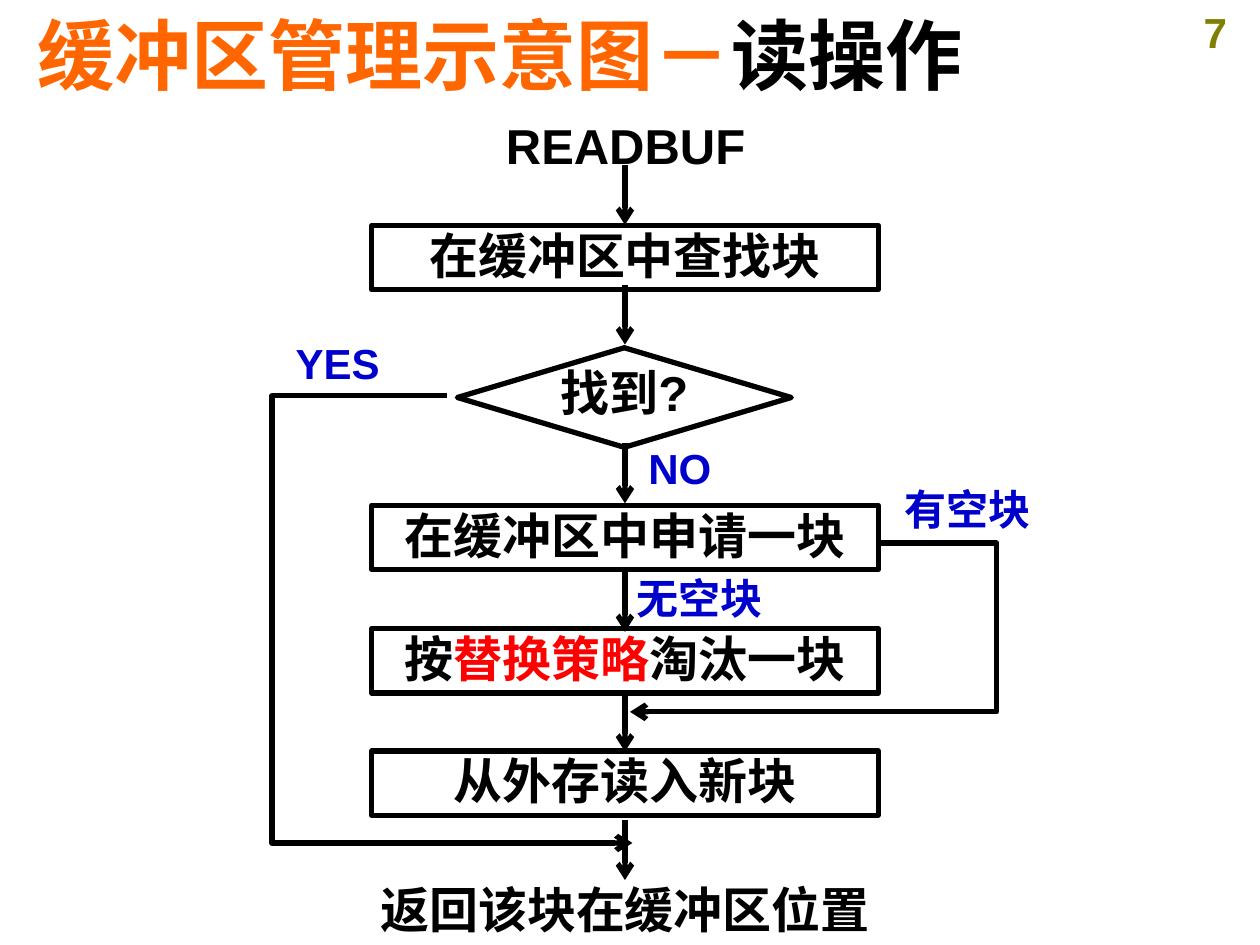
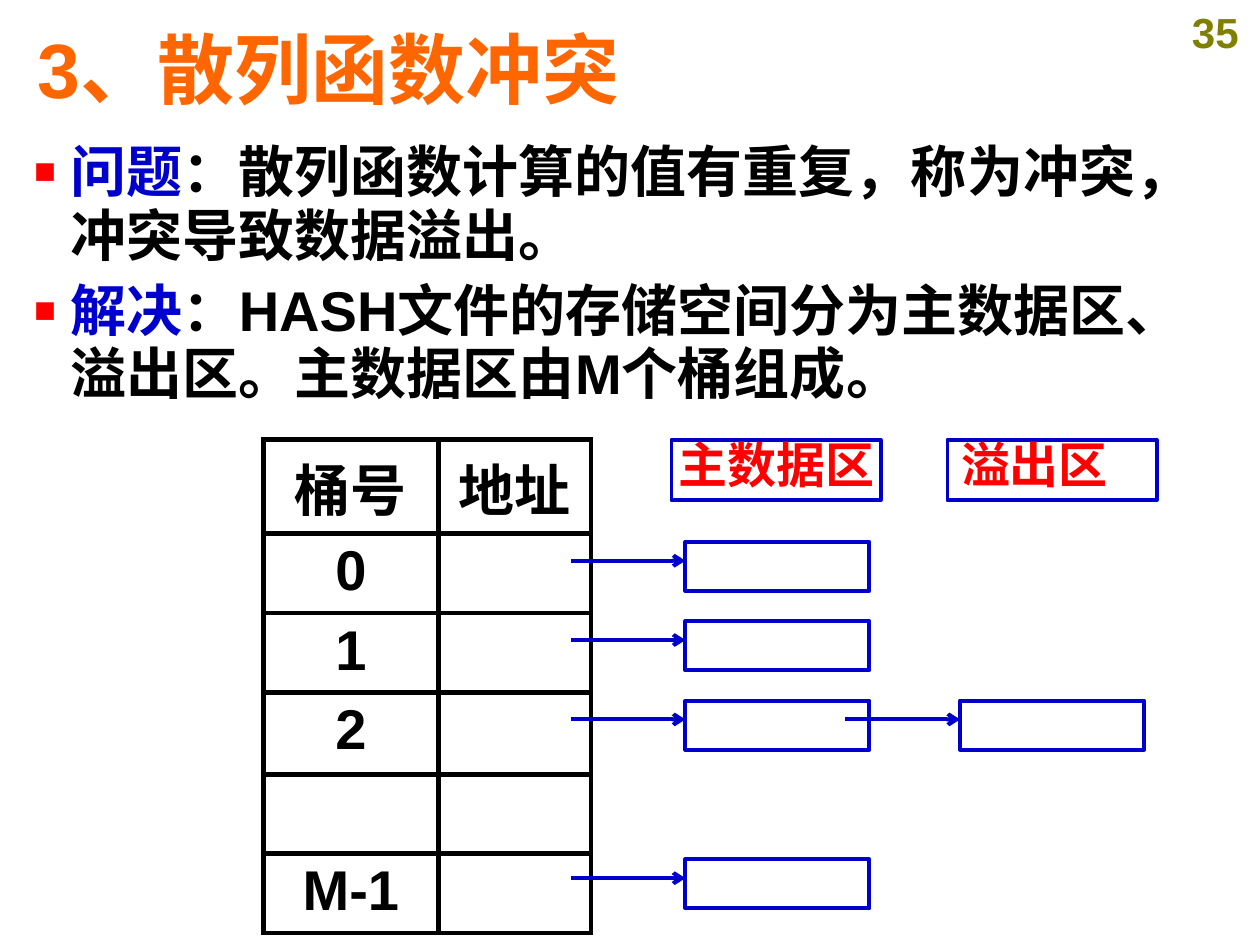
from typing import NamedTuple

from lxml import etree
from pptx import Presentation
from pptx.dml.color import RGBColor
from pptx.enum.shapes import MSO_CONNECTOR, MSO_SHAPE
from pptx.enum.text import MSO_ANCHOR, MSO_AUTO_SIZE, PP_ALIGN
from pptx.oxml.ns import qn
from pptx.util import Inches, Pt

RECT, DIAMOND = MSO_SHAPE.RECTANGLE, MSO_SHAPE.DIAMOND
STRAIGHT = MSO_CONNECTOR.STRAIGHT
LEFT, CENTER = PP_ALIGN.LEFT, PP_ALIGN.CENTER
TOP, MIDDLE = MSO_ANCHOR.TOP, MSO_ANCHOR.MIDDLE

BLACK = RGBColor(0x00, 0x00, 0x00)
WHITE = RGBColor(0xFF, 0xFF, 0xFF)
ORANGE = RGBColor(0xFF, 0x66, 0x00)
BLUE = RGBColor(0x00, 0x00, 0xCC)
RED = RGBColor(0xFF, 0x00, 0x00)
OLIVE = RGBColor(0x80, 0x80, 0x00)

FONT = "Arial"
WIDTH, HEIGHT = Inches(10), Inches(7.5)
COL, ROW = WIDTH / 100, HEIGHT / 75  # a grid of 100 columns and 75 rows
PAD = (0.1, 0.05, 0.1, 0.05)  # inches: left, top, right, bottom
BARE = (0, 0, 0, 0)


class Span(NamedTuple):
    text: str
    color: RGBColor = BLACK


class Area(NamedTuple):
    """A rectangle in grid columns and rows."""
    x: float
    y: float
    w: float
    h: float

    def emu(self) -> tuple:
        return (round(self.x * COL), round(self.y * ROW),
                round(self.w * COL), round(self.h * ROW))


class Step(NamedTuple):
    y: float
    spans: tuple


class Label(NamedTuple):
    text: str
    area: Area


class Zone(NamedTuple):
    text: str
    x: float
    pad: tuple


def spot(x: float, y: float) -> tuple:
    return round(x * COL), round(y * ROW)


def write(frame, *lines, size=28, align=CENTER, anchor=TOP, pad=BARE,
          pitch=None, gap=0, bullet=False) -> None:
    """Fill a text frame; each line is a tuple of spans."""
    frame.word_wrap = True
    frame.auto_size = MSO_AUTO_SIZE.NONE
    frame.vertical_anchor = anchor
    (frame.margin_left, frame.margin_top,
     frame.margin_right, frame.margin_bottom) = map(Inches, pad)
    for i, spans in enumerate(lines):
        para = frame.paragraphs[0] if i == 0 else frame.add_paragraph()
        if bullet:
            mark(para)
        para.alignment = align
        para.space_before = Pt(gap if i else 0)
        if pitch:
            para.line_spacing = pitch
        for span in spans:
            run = para.add_run()
            run.text = span.text
            run.font.name, run.font.size, run.font.bold = FONT, Pt(size), True
            run.font.color.rgb = span.color


def mark(para) -> None:
    """Give a paragraph a small red square bullet and a hanging indent."""
    props = para._p.get_or_add_pPr()
    props.set("marL", str(Inches(0.29)))
    props.set("indent", str(-Inches(0.29)))
    tint = etree.SubElement(props, qn("a:buClr"))
    etree.SubElement(tint, qn("a:srgbClr"), val=str(RED))
    etree.SubElement(props, qn("a:buSzPct"), val="65000")
    etree.SubElement(props, qn("a:buFont"), typeface=FONT)
    etree.SubElement(props, qn("a:buChar"), char="■")


def box(slide, area: Area, kind=RECT, line=BLACK, width=3.0, fill=None):
    """Draw a flat shape; a colour of None means no line or no fill."""
    item = slide.shapes.add_shape(kind, *area.emu())
    item.shadow.inherit = False
    if fill is None:
        item.fill.background()
    else:
        item.fill.solid()
        item.fill.fore_color.rgb = fill
    if line is None:
        item.line.fill.background()
    else:
        item.line.color.rgb = line
        item.line.width = Pt(width)
    return item


def tip(item, color: RGBColor, width: float) -> None:
    """Style a line and put an open arrowhead at its end."""
    item.line.color.rgb = color
    item.line.width = Pt(width)
    props = item._element.spPr
    etree.SubElement(props.find(qn("a:ln")), qn("a:tailEnd"), type="arrow")


def arrow(slide, start: tuple, end: tuple, color=BLACK, width=3.0) -> None:
    item = slide.shapes.add_connector(STRAIGHT, *spot(*start), *spot(*end))
    tip(item, color, width)
    etree.SubElement(item._element.spPr, qn("a:effectLst"))


def bend(slide, *points: tuple) -> None:
    """Draw an arrow that turns at each inner point."""
    pen = slide.shapes.build_freeform(*spot(*points[0]))
    pen.add_line_segments([spot(*p) for p in points[1:]], close=False)
    item = pen.convert_to_shape()
    item.shadow.inherit = False
    item.fill.background()
    tip(item, BLACK, 3)


def note(slide, area: Area, *spans: Span, **style) -> None:
    write(slide.shapes.add_textbox(*area.emu()).text_frame, spans, **style)


def place(item, area: Area):
    item.left, item.top, item.width, item.height = area.emu()
    return item.text_frame


def start(deck, layout: int, number: str, top: float, *title: Span):
    """Add a slide with its title and page number."""
    slide = deck.slides.add_slide(deck.slide_layouts[layout])
    for item in list(slide.placeholders):
        if item.placeholder_format.idx > 9:
            item._element.getparent().remove(item._element)
    write(place(slide.shapes.title, Area(2, top, 94.7, 7.6)), title,
          size=44, align=LEFT, anchor=MIDDLE, pad=PAD)
    note(slide, Area(92.9, 0, 7.1, 5), Span(number, OLIVE), size=24, pad=PAD)
    return slide


def edge(cell) -> None:
    props = cell._tc.get_or_add_tcPr()
    for side in ("lnL", "lnR", "lnT", "lnB"):
        line = etree.SubElement(props, qn(f"a:{side}"), w=str(Pt(3)))
        fill = etree.SubElement(line, qn("a:solidFill"))
        etree.SubElement(fill, qn("a:srgbClr"), val=str(BLACK))
    cell.fill.background()


def flow(deck) -> None:
    slide = start(deck, 5, "7", 0.5,
                  Span("缓冲区管理示意图－", ORANGE), Span("读操作"))
    left, wide, mid = 29.5, 40.2, 49.6
    steps = (
        Step(17.9, (Span("在缓冲区中查找块"),)),
        Step(40.1, (Span("在缓冲区中申请一块"),)),
        Step(49.9, (Span("按"), Span("替换策略", RED), Span("淘汰一块"))),
        Step(59.6, (Span("从外存读入新块"),)),
    )
    for step in steps:
        item = box(slide, Area(left, step.y, wide, 5.1))
        write(item.text_frame, step.spans)
    ends = (Label("返回该块在缓冲区位置", Area(left, 69.8, wide, 4.7)),
            Label("READBUF", Area(39.8, 9.2, 19.7, 4.7)))
    for end in ends:
        item = box(slide, end.area, line=None, fill=WHITE)
        write(item.text_frame, (Span(end.text),))
    test = box(slide, Area(36.3, 27.6, 26.5, 7.9), DIAMOND)
    write(test.text_frame, (Span("找到?"),), anchor=MIDDLE, pitch=0.8)

    for y in (13.1, 22.6, 35.2, 45.4, 54.9, 65.1):
        arrow(slide, (mid, y), (mid, y + 4.75))
    bend(slide, (35.5, 31.4), (21.6, 31.4), (21.6, 66.9), (50.2, 66.9))
    bend(slide, (69.7, 43.1), (79.1, 43.1), (79.1, 56.5), (50, 56.5))

    labels = (
        Label("YES", Area(21.7, 26.8, 10.2, 4)),
        Label("NO", Area(50, 35.1, 7.9, 4)),
        Label("无空块", Area(50, 45.4, 11, 4)),
        Label("有空块", Area(71.3, 38.4, 11, 4)),
    )
    for label in labels:
        note(slide, label.area, Span(label.text, BLUE), size=24)


def buckets(slide) -> None:
    """Draw the bucket table."""
    rows = (("桶号", "地址"), ("0", ""), ("1", ""), ("2", ""), ("", ""),
            ("M-1", ""))
    area = Area(20.9, 34.9, 26, 38.1)
    table = slide.shapes.add_table(len(rows), 2, *area.emu()).table
    table.first_row = table.horz_banding = False
    for col, width in zip(table.columns, (13.9, 12.1)):
        col.width = round(width * COL)
    for i, texts in enumerate(rows):
        table.rows[i].height = round((6.5 if i == 3 else 6.3) * ROW)
        for j, text in enumerate(texts):
            cell = table.cell(i, j)
            edge(cell)
            if text:
                write_cell = cell.text_frame.paragraphs[0]
                write_cell.alignment = CENTER
                run = write_cell.add_run()
                run.text = text
                run.font.name, run.font.size = FONT, Pt(32)
                run.font.bold, run.font.color.rgb = True, BLACK


def clash(deck) -> None:
    slide = start(deck, 1, "35", 1.6, Span("3、散列函数冲突", ORANGE))
    body = next((p for p in slide.placeholders
                 if p.placeholder_format.idx == 1), None)
    write(place(body, Area(1.7, 10.7, 96.4, 57.7)),
          (Span("问题", BLUE),
           Span("：散列函数计算的值有重复，称为冲突，冲突导致数据溢出。")),
          (Span("解决", BLUE),
           Span("：HASH文件的存储空间分为主数据区、溢出区。"
                "主数据区由M个桶组成。")),
          size=32, align=LEFT, pad=PAD, pitch=0.95, gap=6.4, bullet=True)
    buckets(slide)

    zones = (Zone("主数据区", 53.3, (0, 0.05, 0, 0.05)),
             Zone("溢出区", 75.2, (0, 0.05, 0.28, 0.05)))
    for zone in zones:
        item = box(slide, Area(zone.x, 34.9, 16.6, 4.8), line=BLUE, width=2.25)
        write(item.text_frame, (Span(zone.text, RED),), pad=zone.pad, pitch=0.8)

    main, over = 54.4, 76.2
    for x, row in ((main, 0), (main, 1), (main, 2), (main, 4), (over, 2)):
        y = 43 + 6.3 * row
        box(slide, Area(x, y, 14.6, 3.9), line=BLUE, width=2.25)
        arrow(slide, (x - 9.1, y + 1.5), (x, y + 1.5), BLUE, 2.25)


def main() -> None:
    deck = Presentation()
    deck.slide_width, deck.slide_height = WIDTH, HEIGHT
    flow(deck)
    clash(deck)
    deck.save("out.pptx")


if __name__ == "__main__":
    main()
